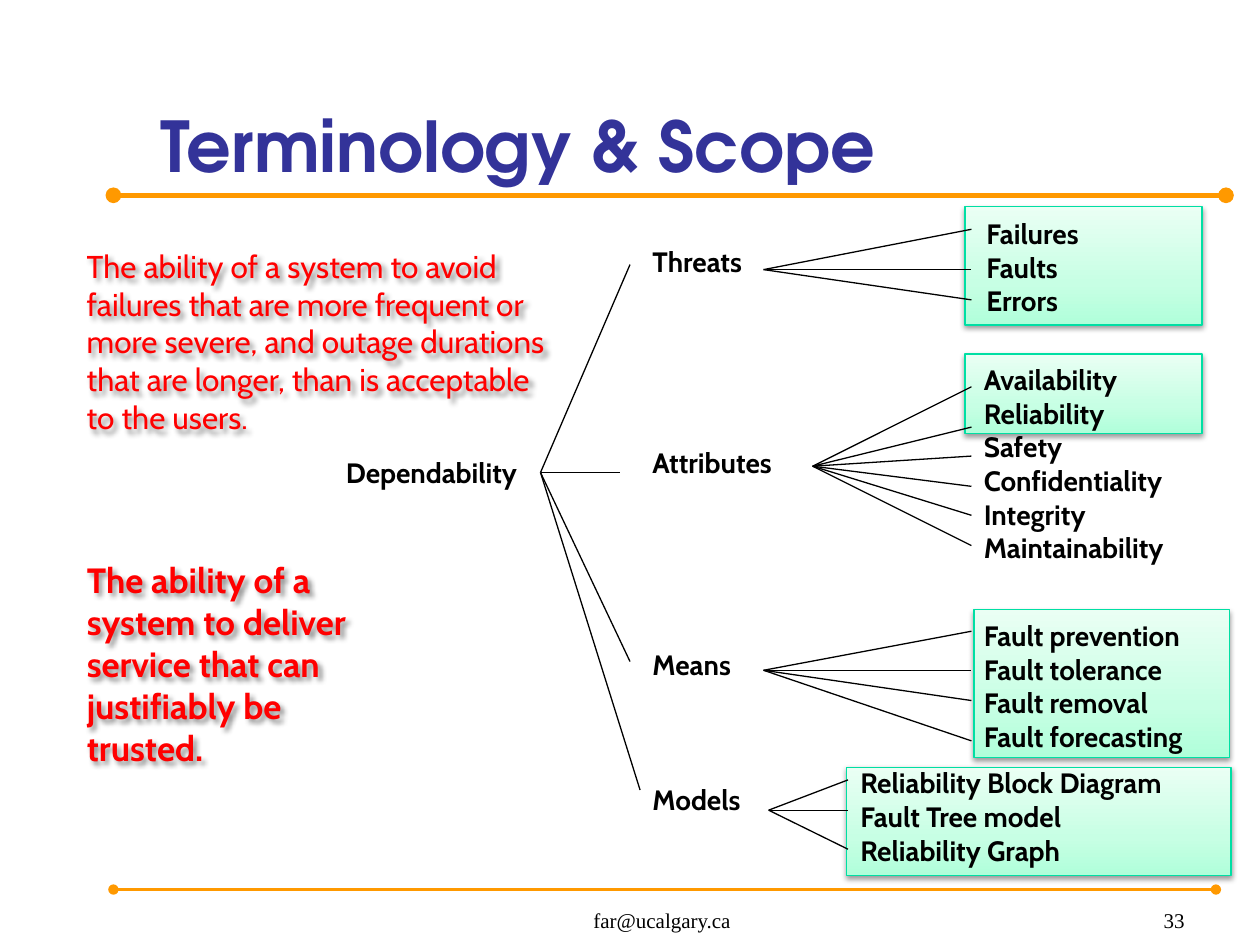
from dataclasses import dataclass

from pptx import Presentation
from pptx.dml.color import RGBColor
from pptx.enum.shapes import MSO_CONNECTOR, MSO_SHAPE
from pptx.enum.text import MSO_ANCHOR, MSO_AUTO_SIZE, PP_ALIGN
from pptx.oxml import parse_xml
from pptx.oxml.ns import nsdecls
from pptx.util import Pt

PX = 9144
NS = nsdecls("a")
RECT, STRAIGHT = MSO_SHAPE.RECTANGLE, MSO_CONNECTOR.STRAIGHT
LEFT, CENTER, RIGHT = PP_ALIGN.LEFT, PP_ALIGN.CENTER, PP_ALIGN.RIGHT
TOP, MIDDLE, BOTTOM = MSO_ANCHOR.TOP, MSO_ANCHOR.MIDDLE, MSO_ANCHOR.BOTTOM
NO_FIT = MSO_AUTO_SIZE.NONE


@dataclass(frozen=True)
class Theme:
    ink: str = "000000"
    title: str = "333399"
    rule: str = "FF9900"
    note: str = "FF0000"
    edge: str = "00DFA4"
    panel: tuple = ((0, "B0FFDA"), (35, "C7FFE4"), (100, "EAFFF4"))
    body_font: str = "Cabin"
    title_font: str = "TeX Gyre Adventor"
    footer_font: str = "Times New Roman"
    title_size: int = 40
    body_size: int = 16
    note_size: int = 18
    strong_size: int = 20
    footer_size: int = 12


def emu(*lengths):
    return [length * PX for length in lengths]


def write(tf, text, size, font, color, bold=False, align=LEFT, anchor=TOP):
    tf.word_wrap = True
    tf.auto_size = NO_FIT
    tf.vertical_anchor = anchor
    for i, line in enumerate(text.split("\n")):
        p = tf.add_paragraph() if i else tf.paragraphs[0]
        p.alignment = align
        r = p.add_run()
        r.text = line
        r.font.size = Pt(size)
        r.font.name = font
        r.font.bold = bold
        r.font.color.rgb = RGBColor.from_string(color)


def shadow(blur, dist, angle, alpha):
    return parse_xml(
        f'<a:effectLst {NS}><a:outerShdw blurRad="{blur}" dist="{dist}" '
        f'dir="{angle * 60000}" algn="tl" rotWithShape="0"><a:srgbClr val="000000">'
        f'<a:alpha val="{alpha * 1000}"/></a:srgbClr></a:outerShdw></a:effectLst>')


class SlideBuilder:
    def __init__(self, s, theme):
        self.s = s
        self.theme = theme

    def title(self, text, x, y, w, h):
        t = self.theme
        sp = self.s.shapes.title
        sp.left, sp.top, sp.width, sp.height = emu(x, y, w, h)
        write(sp.text_frame, text, t.title_size, t.title_font, t.title, bold=True, anchor=BOTTOM)

    def text(self, text, x, y, w, h, **style):
        t = self.theme
        sp = self.s.shapes.add_textbox(*emu(x, y, w, h))
        style = {"size": t.body_size, "font": t.body_font, "color": t.ink, "bold": True} | style
        write(sp.text_frame, text, **style)
        return sp

    def note(self, text, x, y, w, h, size, bold):
        sp = self.text(text, x, y, w, h, size=size, bold=bold, color=self.theme.note)
        sp._element.spPr.append(shadow(38100, 38100, 45, 43))

    def footer(self, text, x, w, align):
        t = self.theme
        self.text(text, x, 701, w, 44, size=t.footer_size, font=t.footer_font,
                  bold=False, align=align, anchor=BOTTOM)

    def panel(self, x, y, w, h):
        t = self.theme
        sp = self.s.shapes.add_shape(RECT, *emu(x, y, w, h))
        stops = "".join(f'<a:gs pos="{pos * 1000}"><a:srgbClr val="{color}"/></a:gs>'
                        for pos, color in t.panel)
        spPr = sp._element.spPr
        spPr.append(parse_xml(f'<a:gradFill {NS} rotWithShape="1"><a:gsLst>{stops}</a:gsLst>'
                              '<a:lin ang="16200000" scaled="0"/></a:gradFill>'))
        sp.line.color.rgb = RGBColor.from_string(t.edge)
        sp.line.width = Pt(0.75)
        spPr.append(shadow(40000, 20000, 90, 38))

    def line(self, x1, y1, x2, y2, color=None, width=0.75, dots=False):
        c = self.s.shapes.add_connector(STRAIGHT, *emu(x1, y1, x2, y2))
        c.line.color.rgb = RGBColor.from_string(color or self.theme.ink)
        c.line.width = Pt(width)
        if dots:
            for end in ("headEnd", "tailEnd"):
                c.line._ln.append(parse_xml(f'<a:{end} {NS} type="oval"/>'))
        c._element.spPr.append(parse_xml(f"<a:effectLst {NS}/>"))

    def fan(self, x, y, ends):
        for end_x, end_y in ends:
            self.line(x, y, end_x, end_y)


PANELS = [(672, 609, 305, 86), (773, 484, 203, 117), (766, 281, 188, 63), (766, 164, 188, 94)]
BRANCHES = [("Threats", 189), ("Attributes", 349), ("Means", 509), ("Models", 616)]
ROOT_ENDS = [(500, 210), (492, 375), (500, 525), (508, 627)]
LEAVES = [
    ("Failures\nFaults\nErrors", (773, 167, 109, 90), (606, 214), 771, (182, 214, 238)),
    ("Availability\nReliability\nSafety\nConfidentiality\nIntegrity\nMaintainability",
     (771, 283, 188, 170), (645, 370), 771, (307, 339, 362, 386, 409, 433)),
    ("Fault prevention\nFault tolerance\nFault removal\nFault forecasting",
     (771, 486, 209, 117), (606, 532), 771, (501, 532, 556, 588)),
    ("Reliability Block Diagram\nFault Tree model\nReliability Graph",
     (673, 603, 307, 90), (610, 643), 673, (619, 643, 674)),
]


def main():
    prs = Presentation()
    prs.slide_width, prs.slide_height = emu(1000, 750)
    theme = Theme()
    b = SlideBuilder(prs.slides.add_slide(prs.slide_layouts[5]), theme)

    b.line(90, 155, 973, 155, theme.rule, 3, dots=True)
    b.line(90, 706, 965, 706, theme.rule, 1.5, dots=True)
    b.title("Terminology & Scope", 117, 28, 861, 125)
    for box in PANELS:
        b.panel(*box)

    b.text("Dependability", 256, 351, 173, 47, align=CENTER, anchor=MIDDLE)
    b.fan(429, 375, ROOT_ENDS)
    for name, y in BRANCHES:
        b.text(name, 508, y, 132, 37)
    for names, box, start, end_x, end_ys in LEAVES:
        b.text(names, *box)
        b.fan(*start, [(end_x, y) for y in end_ys])

    b.note("The ability of a system to deliver service that can justifiably be trusted.",
           59, 438, 268, 177, theme.strong_size, True)
    b.note("The ability of a system to avoid failures that are more frequent or more severe, "
           "and outage durations that are longer, than is acceptable to the users.",
           59, 191, 386, 160, theme.note_size, False)
    b.footer("far@ucalgary.ca", 367, 317, CENTER)
    b.footer("33", 742, 208, RIGHT)
    prs.save("out.pptx")


if __name__ == "__main__":
    main()
